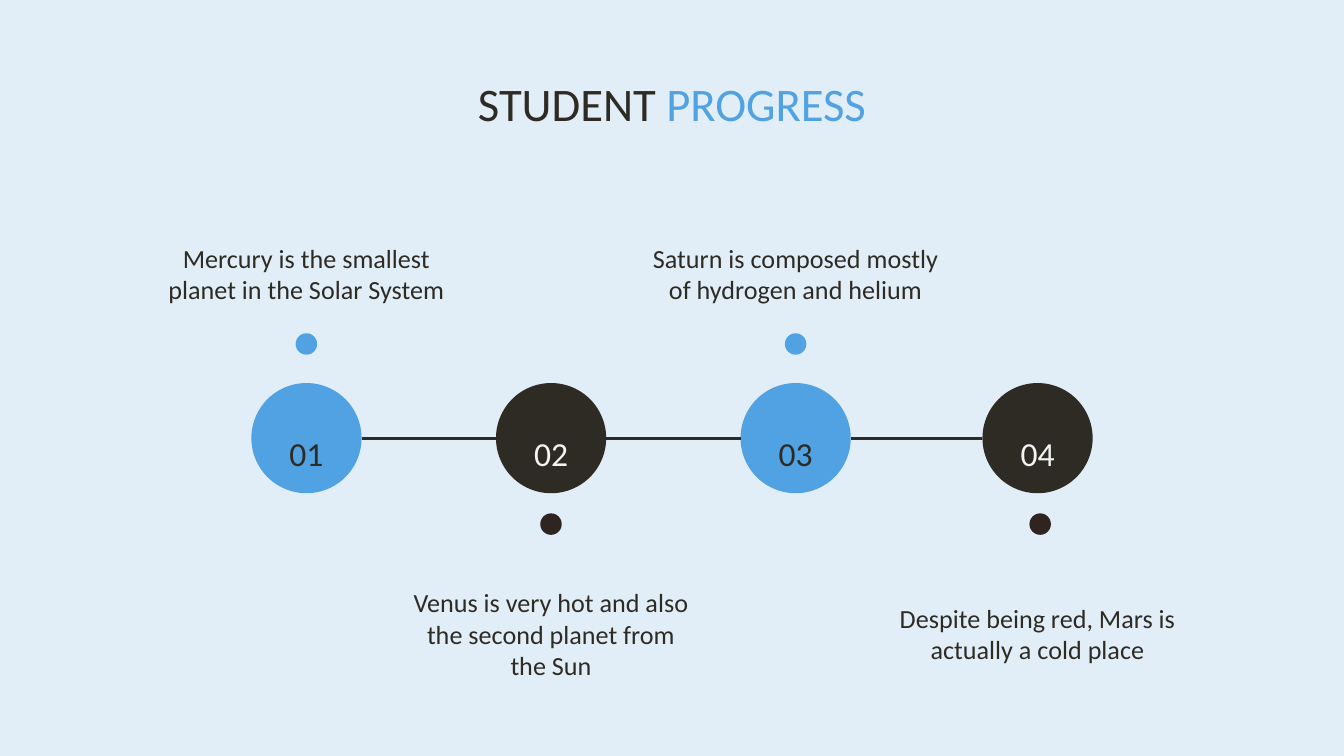
from pptx import Presentation
from pptx.dml.color import RGBColor
from pptx.enum import shapes, text
from pptx.oxml.ns import qn
from pptx.util import Inches, Pt

SKY = RGBColor(0xE2, 0xEE, 0xF7)
BLUE = RGBColor(0x51, 0xA2, 0xE2)
DARK = RGBColor(0x2E, 0x2B, 0x25)
BROWN = RGBColor(0x2F, 0x24, 0x1F)
LIGHT = RGBColor(0xF3, 0xF3, 0xF3)

CIRCLE, DOT = 0.82, 0.16
LINE_Y = 3.26

# Circle centre, number, caption, whether the caption stands above the line
STEPS = [
    (2.28, "01", "Mercury is the smallest planet in the Solar System", True),
    (4.1, "02", "Venus is very hot and also the second planet from the Sun", False),
    (5.92, "03", "Saturn is composed mostly of hydrogen and helium", True),
    (7.72, "04", "Despite being red, Mars is actually a cold place", False),
]

# Widescreen page, 16 to 9
deck = Presentation()
deck.slide_width = Inches(10)
deck.slide_height = Inches(10 * 9 / 16)
page = deck.slides.add_slide(deck.slide_layouts[5])
page.background.fill.solid()
page.background.fill.fore_color.rgb = SKY


def add_disc(center_x, center_y, size, color):
    disc = page.shapes.add_shape(
        shapes.MSO_SHAPE.OVAL, Inches(center_x - size / 2),
        Inches(center_y - size / 2), Inches(size), Inches(size))
    disc.shadow.inherit = False
    disc.fill.solid()
    disc.fill.fore_color.rgb = color
    disc.line.fill.background()


def add_label(center_x, top, width, height, words, size, color):
    box = page.shapes.add_textbox(
        Inches(center_x - width / 2), Inches(top), Inches(width), Inches(height))
    frame = box.text_frame
    frame.word_wrap = True
    frame.vertical_anchor = text.MSO_ANCHOR.MIDDLE
    frame.margin_left = frame.margin_right = Inches(0.1)
    frame.margin_top, frame.margin_bottom = Inches(0.18), 0
    para = frame.paragraphs[0]
    para.text = words
    para.alignment = text.PP_ALIGN.CENTER
    para.font.name, para.font.size = "Calibri", Pt(size)
    para.font.color.rgb = color


# Title
title = page.shapes.title
title.left, title.top = Inches(1.3), Inches(0.45)
title.width, title.height = Inches(7.4), Inches(0.72)
frame = title.text_frame
frame.vertical_anchor = text.MSO_ANCHOR.MIDDLE
frame.margin_top, frame.margin_bottom = Inches(0.1), Inches(0.13)
para = frame.paragraphs[0]
para.alignment = text.PP_ALIGN.CENTER
para.line_spacing = 0.9
para.font.name, para.font.size = "Calibri", Pt(25)
for words, color in (("STUDENT ", DARK), ("PROGRESS", BLUE)):
    span = para.add_run()
    span.text = words
    span.font.color.rgb = color

# Steps: circle, number, dot and caption
for index, (center, number, caption, above) in enumerate(STEPS):
    add_disc(center, LINE_Y, CIRCLE, BLUE if above else DARK)
    add_label(center, 3.06, 0.61, 0.45, number, 18, DARK if above else LIGHT)
    add_disc(2.28 + 1.82 * index, 2.56 if above else 3.9, DOT,
             BLUE if above else BROWN)
    add_label(center, 1.53 if above else 4.21, 2.35, 0.83, caption, 14, DARK)

# Lines between neighbouring circles
for step, following in zip(STEPS, STEPS[1:]):
    link = page.shapes.add_connector(
        shapes.MSO_CONNECTOR.STRAIGHT,
        Inches(step[0] + CIRCLE / 2), Inches(LINE_Y),
        Inches(following[0] - CIRCLE / 2), Inches(LINE_Y))
    link.line.color.rgb = DARK
    link.line.width = Pt(1.5)
    properties = link._element.spPr
    properties.append(properties.makeelement(qn("a:effectLst"), {}))

deck.save("out.pptx")
